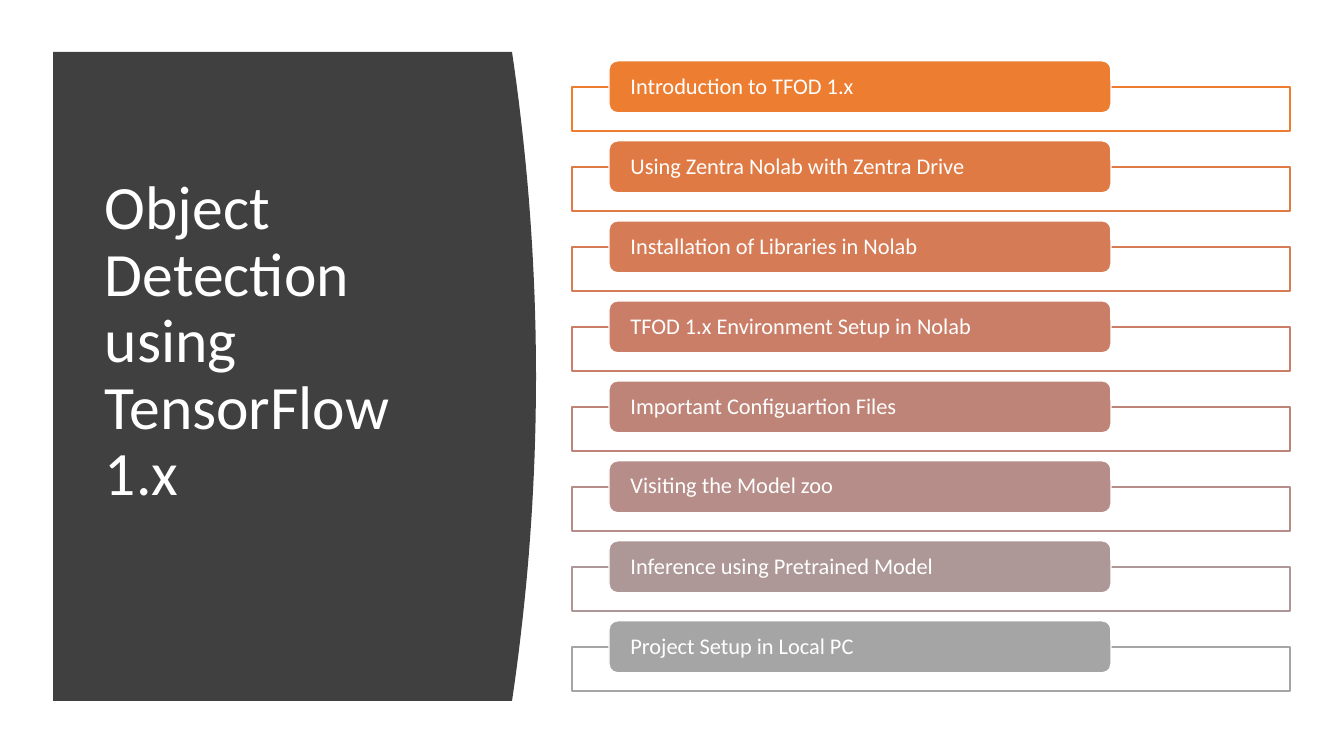
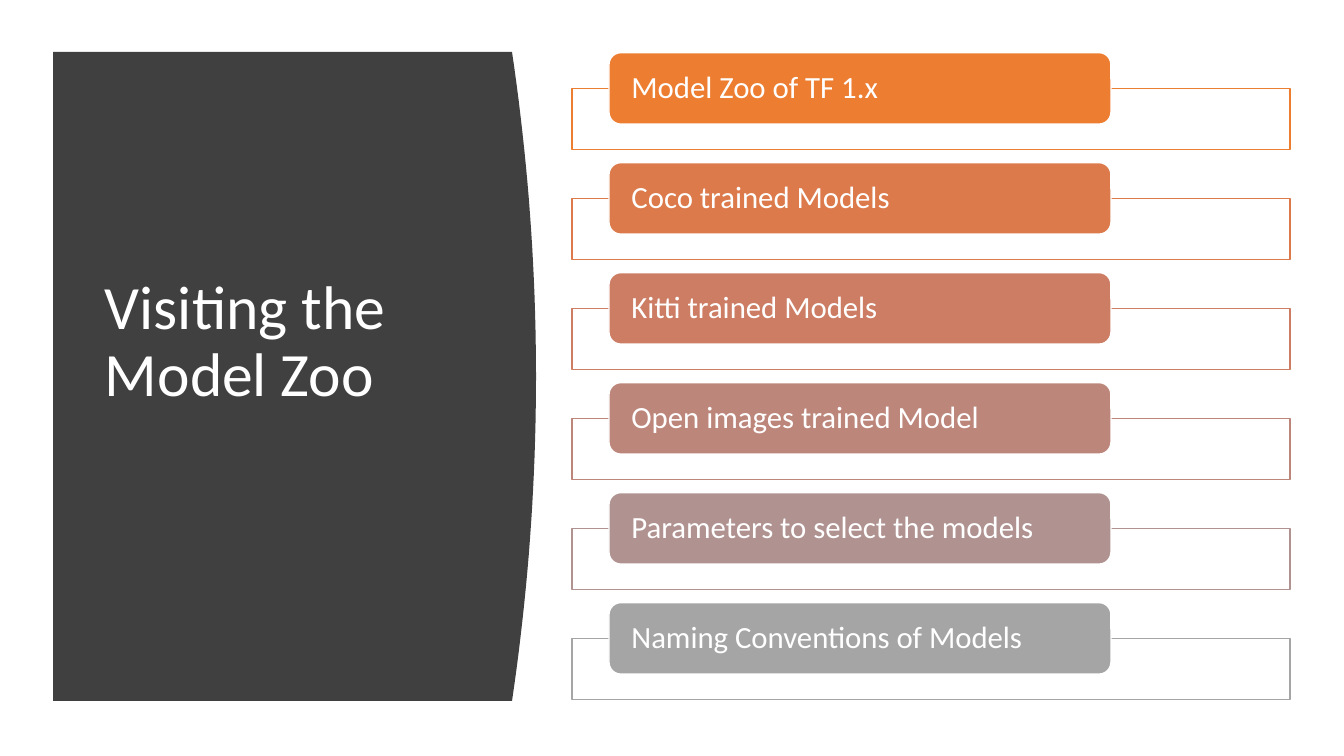
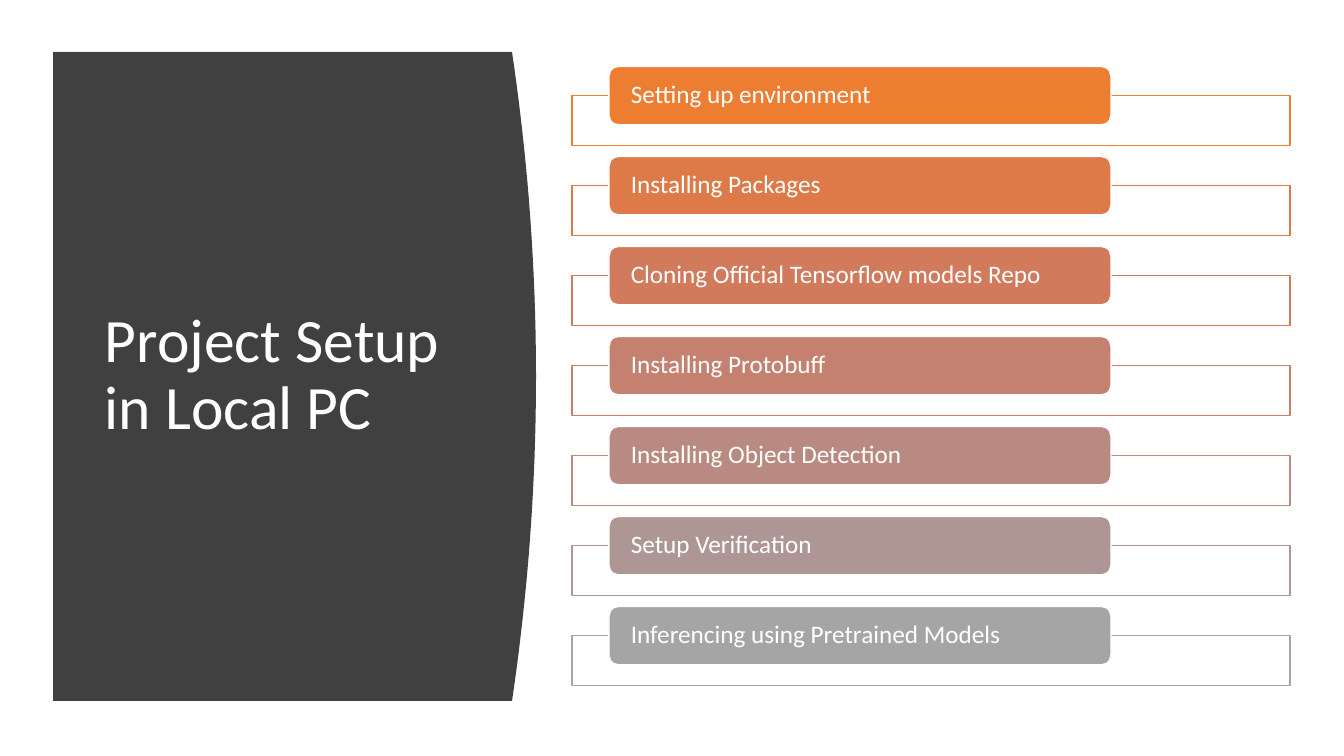
"""Build three agenda slides: a dark curved title panel beside a column of labelled tabs."""
from colorsys import hls_to_rgb, rgb_to_hls

from pptx import Presentation
from pptx.dml.color import RGBColor
from pptx.enum.shapes import MSO_SHAPE
from pptx.enum.text import MSO_ANCHOR, PP_ALIGN
from pptx.util import Pt

RECT, ROUNDED = MSO_SHAPE.RECTANGLE, MSO_SHAPE.ROUNDED_RECTANGLE
MIDDLE, LEFT = MSO_ANCHOR.MIDDLE, PP_ALIGN.LEFT

AGENDAS = [
    {
        "title": "Object Detection using TensorFlow 1.x",
        "title_height": 462,
        "font_size": 16,
        "topics": [
            "Introduction to TFOD 1.x",
            "Using Zentra Nolab with Zentra Drive",
            "Installation of Libraries in Nolab",
            "TFOD 1.x Environment Setup in Nolab",
            "Important Configuartion Files",
            "Visiting the Model zoo",
            "Inference using Pretrained Model",
            "Project Setup in Local PC",
        ],
    },
    {
        "title": "Visiting the Model Zoo",
        "title_height": 462,
        "font_size": 22,
        "topics": [
            "Model Zoo of TF 1.x",
            "Coco trained Models",
            "Kitti trained Models",
            "Open images trained Model",
            "Parameters to select the models",
            "Naming Conventions of Models",
        ],
    },
    {
        "title": "Project Setup in Local PC",
        "title_height": 528,
        "font_size": 18,
        "topics": [
            "Setting up environment",
            "Installing Packages",
            "Cloning Official Tensorflow models Repo",
            "Installing Protobuff",
            "Installing Object Detection",
            "Setup Verification",
            "Inferencing using Pretrained Models",
        ],
    },
]

FONT = "Calibri"
WHITE, CHARCOAL = "FFFFFF", "404040"
FIRST_TAB, LAST_TAB = "ED7D31", "A5A5A5"

SLIDE_W, SLIDE_H = 1344, 756
PANEL_LEFT, PANEL_TOP, PANEL_RIGHT, PANEL_BOTTOM = 53, 52, 512, 701
PANEL_BULGE, PANEL_STEPS = 24, 40
TITLE_LEFT, TITLE_TOP, TITLE_W, TITLE_SIZE = 95, 112, 377, 44
FRAME_LEFT, FRAME_W = 572, 718
TAB_LEFT, TAB_W, TAB_INSET = 609, 502, 19
LIST_MIDDLE = 376
PITCH_RATIO, TAB_RATIO, FRAME_RATIO = 5, 3.25, 2.77


def px(length):
    """Turn pixels into EMU."""
    return round(length * 914400 / 100.8)


def color(hex_code):
    """Turn a hex string into a colour."""
    return RGBColor.from_string(hex_code)


def blend(start, end, share):
    """Mix two hex colours along hue, lightness and saturation."""
    first, last = (
        rgb_to_hls(*(int(code[i:i + 2], 16) / 255 for i in (0, 2, 4)))
        for code in (start, end)
    )
    mixed = hls_to_rgb(*(a + (b - a) * share for a, b in zip(first, last)))
    return "".join(f"{round(channel * 255):02X}" for channel in mixed)


def write(shape, text, size, inset=None):
    """Put white, left-aligned, vertically centred text into a shape."""
    frame = shape.text_frame
    frame.text = text
    frame.word_wrap = True
    frame.vertical_anchor = MIDDLE
    if inset is not None:
        frame.margin_left = frame.margin_right = px(inset)
        frame.margin_top = frame.margin_bottom = 0
    paragraph = frame.paragraphs[0]
    paragraph.alignment = LEFT
    paragraph.line_spacing = 0.9
    font = paragraph.runs[0].font
    font.name, font.size = FONT, Pt(size)
    font.color.rgb = color(WHITE)


def add_box(slide, preset, left, top, width, height, fill, line):
    """Add a filled and outlined preset shape."""
    box = slide.shapes.add_shape(preset, px(left), px(top), px(width), px(height))
    box.shadow.inherit = False
    box.fill.solid()
    box.fill.fore_color.rgb = color(fill)
    box.line.color.rgb = color(line)
    box.line.width = Pt(1)
    return box


def add_title_panel(slide, title, title_height):
    """Draw the dark panel with its bulging right edge, and the title on it."""
    height = PANEL_BOTTOM - PANEL_TOP
    shares = [step / PANEL_STEPS for step in range(PANEL_STEPS + 1)]
    edge = [
        (px(PANEL_RIGHT + 4 * PANEL_BULGE * s * (1 - s)), px(PANEL_TOP + height * s))
        for s in shares
    ]
    outline = slide.shapes.build_freeform(px(PANEL_LEFT), px(PANEL_TOP))
    outline.add_line_segments(edge + [(px(PANEL_LEFT), px(PANEL_BOTTOM))], close=True)
    panel = outline.convert_to_shape()
    panel.shadow.inherit = False
    panel.fill.solid()
    panel.fill.fore_color.rgb = color(CHARCOAL)
    panel.line.fill.background()

    heading = slide.shapes.add_textbox(
        px(TITLE_LEFT), px(TITLE_TOP), px(TITLE_W), px(title_height))
    write(heading, title, TITLE_SIZE)


def add_topics(slide, topics, font_size):
    """Stack the topic tabs, each over an outlined frame, around the list's middle."""
    pitch, tab_h, frame_h = (
        font_size * ratio for ratio in (PITCH_RATIO, TAB_RATIO, FRAME_RATIO))
    last = len(topics) - 1
    list_top = LIST_MIDDLE - (last * pitch + tab_h / 2 + frame_h) / 2
    for index, topic in enumerate(topics):
        top = list_top + index * pitch
        tint = blend(FIRST_TAB, LAST_TAB, index / last)
        add_box(slide, RECT, FRAME_LEFT, top + tab_h / 2, FRAME_W, frame_h, WHITE, tint)
        tab = add_box(slide, ROUNDED, TAB_LEFT, top, TAB_W, tab_h, tint, WHITE)
        write(tab, topic, font_size, TAB_INSET)


def main():
    """Build and save the presentation."""
    deck = Presentation()
    deck.slide_width, deck.slide_height = px(SLIDE_W), px(SLIDE_H)
    for agenda in AGENDAS:
        slide = deck.slides.add_slide(deck.slide_layouts[6])
        add_title_panel(slide, agenda["title"], agenda["title_height"])
        add_topics(slide, agenda["topics"], agenda["font_size"])
    deck.save("out.pptx")


if __name__ == "__main__":
    main()
